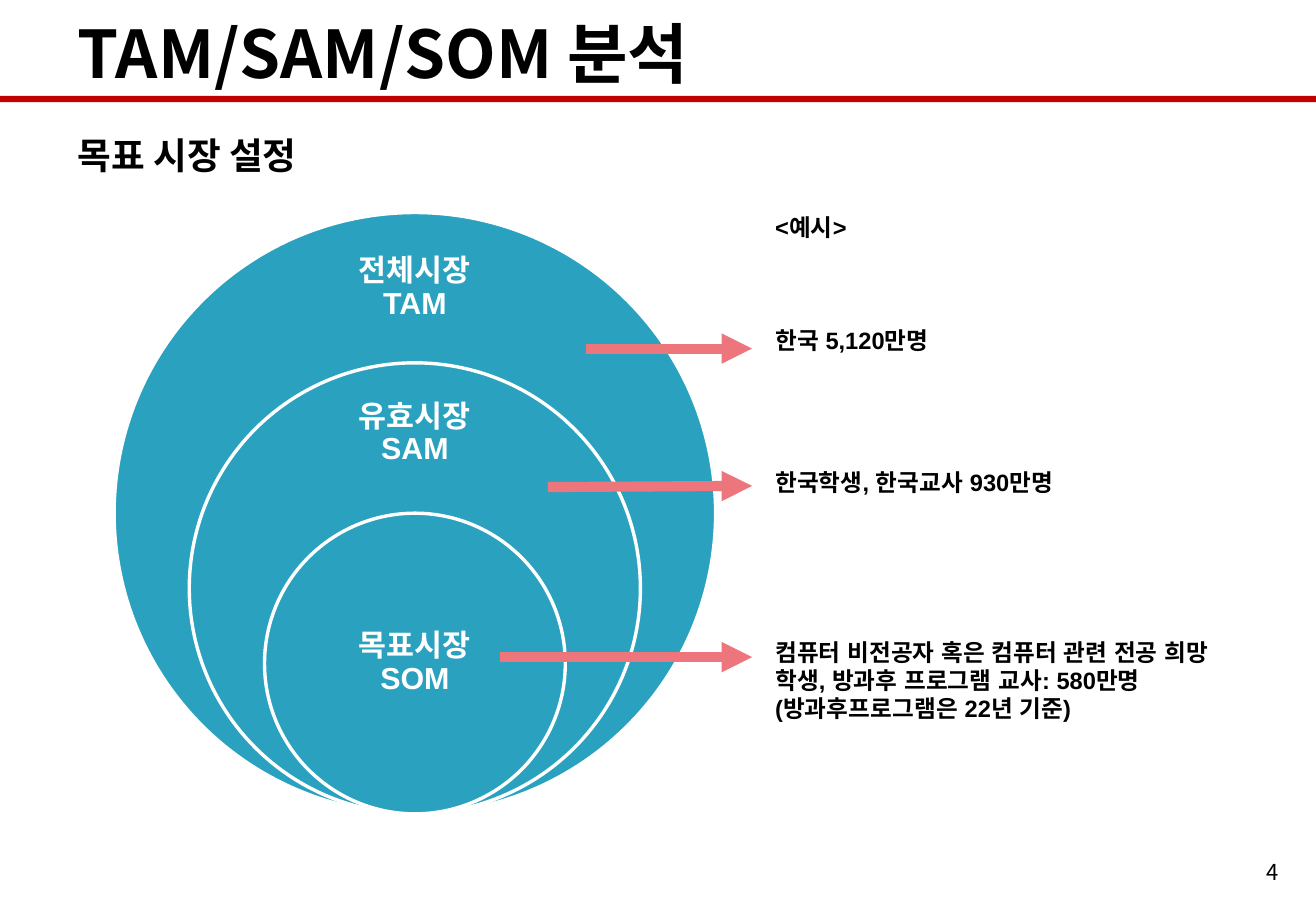
from dataclasses import dataclass

from lxml.etree import SubElement
from pptx import Presentation
from pptx.dml.color import RGBColor
from pptx.enum.shapes import MSO_CONNECTOR, MSO_SHAPE
from pptx.enum.text import MSO_ANCHOR, PP_ALIGN
from pptx.oxml.ns import qn
from pptx.util import Inches, Pt

WIDTH, HEIGHT = 10.83, 7.5
COLUMNS, ROWS = 40, 30


@dataclass(frozen=True)
class Theme:
    black: str = "000000"
    white: str = "FFFFFF"
    rule: str = "C00000"
    market: str = "2AA2BF"
    arrow: str = "EC767C"
    heading_font: str = "Noto Sans CJK KR"
    body_font: str = "Arial"
    title: float = 39
    subtitle: float = 21.7
    label: float = 18
    note: float = 14
    note_line: float = 16.8
    page: float = 13


THEME = Theme()

# Nested markets: name, abbreviation, share of the outer circle,
# label centre and label height in rows
MARKETS = [
    ("전체시장", "TAM", 1, 9.48, 2.96),
    ("유효시장", "SAM", 0.75, 14.28, 2.8),
    ("목표시장", "SOM", 0.5, 21.84, 4.96),
]
CENTRE, BOTTOM, DIAMETER = 12.61, 26.8, 19.8

# Example notes: text and the number of lines left free above
NOTES = [
    ("<예시>", 0),
    ("한국 5,120만명", 3),
    ("한국학생, 한국교사 930만명", 4),
    ("컴퓨터 비전공자 혹은 컴퓨터 관련 전공 희망 학생, "
     "방과후 프로그램 교사: 580만명(방과후프로그램은 22년 기준)", 5),
]

# Arrows: start column, start row, end row
ARROWS = [(17.8, 11.48, 11.48), (16.65, 16.04, 16), (15.21, 21.64, 21.64)]
ARROW_END = 22.86


def col(count):
    return Inches(WIDTH * count / COLUMNS)


def row(count):
    return Inches(HEIGHT * count / ROWS)


def rgb(value):
    return RGBColor.from_string(value)


def apply(target, formats):
    for name, value in formats.items():
        setattr(target, name, value)


def add_text(shapes, box, lines, size, font=THEME.body_font, color=THEME.black,
             bold=True, anchor=MSO_ANCHOR.MIDDLE, inset=(0.1, 0.05), **paragraph_format):
    """Add a text box; each line is a text with its space before in points."""
    frame = shapes.add_textbox(*box).text_frame
    across, down = map(Inches, inset)
    apply(frame, {"word_wrap": True, "vertical_anchor": anchor,
                  "margin_left": across, "margin_right": across,
                  "margin_top": down, "margin_bottom": down})
    for index, (text, space) in enumerate(lines):
        paragraph = frame.paragraphs[0] if index == 0 else frame.add_paragraph()
        apply(paragraph, {"space_before": Pt(space), **paragraph_format})
        run = paragraph.add_run()
        run.text = text
        apply(run.font, {"name": font, "size": Pt(size), "bold": bold})
        run.font.color.rgb = rgb(color)
        # Korean letters take the same typeface
        SubElement(run.font._element, qn("a:ea"), typeface=font)


def add_solid(shapes, kind, box, fill, outline=None):
    shape = shapes.add_shape(kind, *box)
    shape.shadow.inherit = False
    shape.fill.solid()
    shape.fill.fore_color.rgb = rgb(fill)
    if outline:
        shape.line.color.rgb = rgb(outline)
        shape.line.width = Pt(2)
    else:
        shape.line.fill.background()


def add_market(shapes, name, abbreviation, share, label_centre, label_height):
    size = row(DIAMETER * share)
    circle = (col(CENTRE) - size // 2, row(BOTTOM) - size, size, size)
    add_solid(shapes, MSO_SHAPE.OVAL, circle, THEME.market, THEME.white)
    label = (col(CENTRE - 3.2), row(label_centre - label_height / 2),
             col(6.4), row(label_height))
    add_text(shapes, label, [(name, 0), (abbreviation, 0)], THEME.label,
             color=THEME.white, inset=(0.14, 0.14),
             alignment=PP_ALIGN.CENTER, line_spacing=0.9)


def add_arrow(shapes, start, start_row, end_row):
    arrow = shapes.add_connector(MSO_CONNECTOR.STRAIGHT, col(start), row(start_row),
                                 col(ARROW_END), row(end_row))
    arrow.line.color.rgb = rgb(THEME.arrow)
    arrow.line.width = Pt(6)
    SubElement(arrow.line._get_or_add_ln(), qn("a:tailEnd"), type="triangle")
    SubElement(arrow._element.spPr, qn("a:effectLst"))


def main():
    deck = Presentation()
    apply(deck, {"slide_width": Inches(WIDTH), "slide_height": Inches(HEIGHT)})
    shapes = deck.slides.add_slide(deck.slide_layouts[6]).shapes

    # Header and page number
    add_solid(shapes, MSO_SHAPE.RECTANGLE, (0, row(3.16), col(COLUMNS), row(0.2)), THEME.rule)
    add_text(shapes, (col(2), row(0.2), col(36), row(3.04)),
             [("TAM/SAM/SOM 분석", 0)], THEME.title, THEME.heading_font)
    add_text(shapes, (col(2), row(3.36), col(36), row(3.48)),
             [("목표 시장 설정", 0)], THEME.subtitle, THEME.heading_font)
    add_text(shapes, (col(29.88), row(27.92), col(9.34), row(1.6)), [("4", 0)],
             THEME.page, THEME.heading_font, bold=False, alignment=PP_ALIGN.RIGHT)

    # Nested market circles
    markets = shapes.add_group_shape().shapes
    for market in MARKETS:
        add_market(markets, *market)

    # Example notes
    add_text(shapes, (col(23.2), row(6.8), col(14.44), row(17.36)),
             [(text, free * THEME.note_line) for text, free in NOTES],
             THEME.note, anchor=MSO_ANCHOR.TOP)

    # Arrows from the markets to the notes
    for arrow in ARROWS:
        add_arrow(shapes, *arrow)

    deck.save("out.pptx")


if __name__ == "__main__":
    main()
